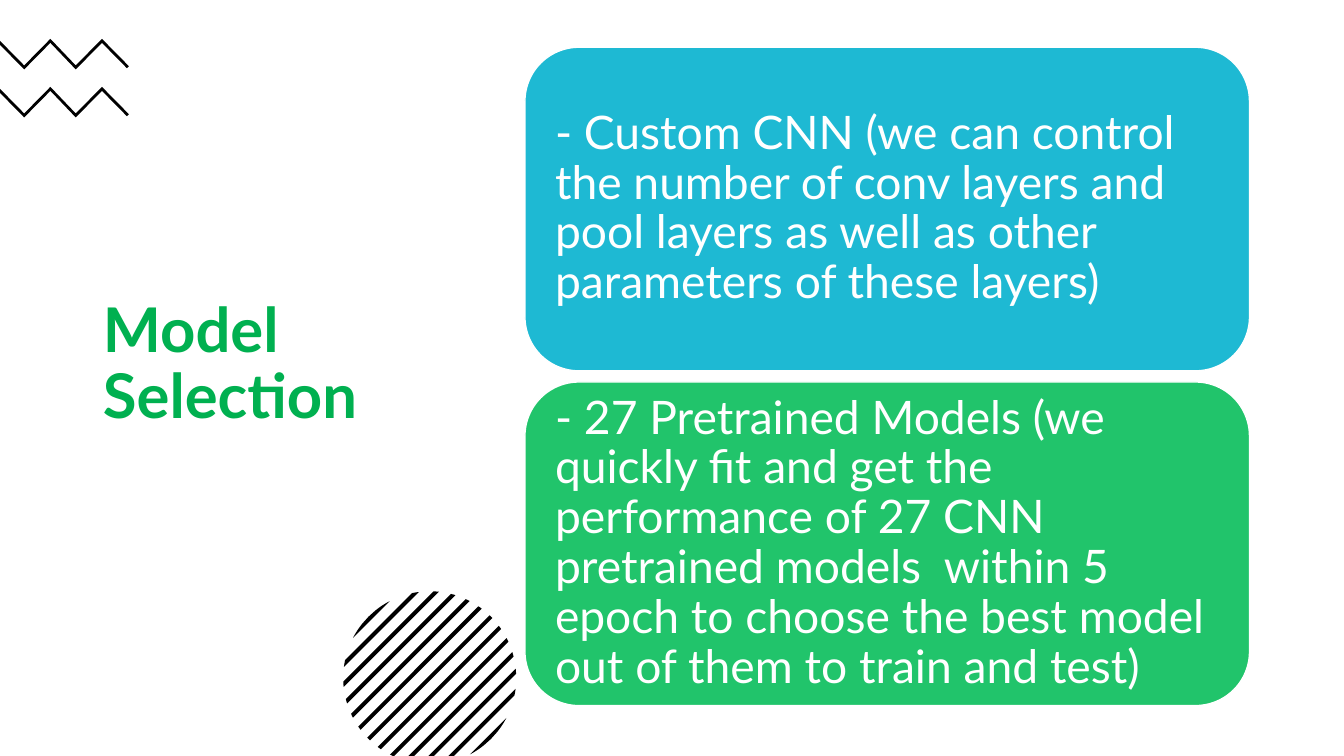
import math

import pptx
import pptx.dml.color
import pptx.enum.shapes
import pptx.enum.text
import pptx.util

Cm = pptx.util.Cm
Pt = pptx.util.Pt

COLORS = {
    "white": "FFFFFF",
    "black": "000000",
    "title": "00B050",
    "custom": "1EB9D3",
    "pretrained": "21C46B",
}
SLIDE_WIDTH, SLIDE_HEIGHT = 33.87, 19.05

TITLE_FONT = {"name": "Lato", "size": Pt(44), "bold": True}
CARD_FONT = {"name": "Lato", "size": Pt(33), "bold": False}
MIDDLE = {"word_wrap": True, "vertical_anchor": pptx.enum.text.MSO_ANCHOR.MIDDLE}
CARD_FRAME = MIDDLE | {
    f"margin_{side}": Cm(0.36) for side in ("left", "top", "right", "bottom")
}
PARAGRAPH = {"line_spacing": 0.9, "alignment": pptx.enum.text.PP_ALIGN.LEFT}

CARDS = [
    ("custom", "- Custom CNN (we can control the number of conv layers and pool "
               "layers as well as other parameters of these layers)"),
    ("pretrained", "- 27 Pretrained Models (we quickly fit and get the performance "
                   "of 27 CNN pretrained models  within 5 epoch to choose the best "
                   "model out of them to train and test)"),
]


def color(name):
    return pptx.dml.color.RGBColor.from_string(COLORS[name])


def apply_format(target, values):
    for attribute, value in values.items():
        setattr(target, attribute, value)


def write_text(shape, text, frame_format, font_format, font_color):
    frame = shape.text_frame
    frame.text = text
    apply_format(frame, frame_format)
    paragraph = frame.paragraphs[0]
    apply_format(paragraph, PARAGRAPH)
    font = paragraph.runs[0].font
    apply_format(font, font_format)
    font.color.rgb = color(font_color)


def add_outline(slide, points):
    """Draw a closed black shape through points given in centimetres."""
    corners = [(Cm(x), Cm(y)) for x, y in points]
    builder = slide.shapes.build_freeform(*corners[0])
    builder.add_line_segments(corners[1:], close=True)
    shape = builder.convert_to_shape()
    shape.shadow.inherit = False
    shape.fill.solid()
    shape.fill.fore_color.rgb = color("black")
    shape.line.fill.background()


def add_title(slide, left, top, width, height):
    title = slide.shapes.title
    apply_format(title, {"left": Cm(left), "top": Cm(top),
                         "width": Cm(width), "height": Cm(height)})
    write_text(title, "Model Selection", MIDDLE, TITLE_FONT, "title")


def add_zigzags(slide, left, top, pitch, count=2, thickness=0.1):
    upper = [(0, 0.05), (0.61, 0.67), (1.27, 0), (1.91, 0.67), (2.57, 0), (3.25, 0.69)]
    lower = [(x, y + thickness) for x, y in upper[:-1]] + [(3.2, 0.74)]
    for index in range(count):
        add_outline(slide, [(left + x, top + index * pitch + y)
                            for x, y in upper + lower[::-1]])


def add_striped_circle(slide, center_x, center_y, radius, count=13, thickness=0.1):
    """Diagonal stripes fill a circle that is cut off by the slide's bottom edge."""
    root = math.sqrt(2)
    steps = 8
    pitch = (2 * radius - thickness) / (count - 1)

    def place(across, along):
        return center_x + (across + along) / root, center_y + (across - along) / root

    for index in range(count):
        start = -radius + index * pitch
        top_end, bottom_end = [], []
        for step in range(steps + 1):
            across = start + thickness * step / steps
            half_chord = math.sqrt(max(0, radius ** 2 - across ** 2))
            cut = across - (SLIDE_HEIGHT - center_y) * root
            top_end.append(place(across, half_chord))
            bottom_end.append(place(across, max(-half_chord, cut)))
        add_outline(slide, top_end + bottom_end[::-1])


def add_cards(slide, left, top, width, height, gap=0.28):
    card_height = (height - gap * (len(CARDS) - 1)) / len(CARDS)
    for index, (fill, text) in enumerate(CARDS):
        card = slide.shapes.add_shape(
            pptx.enum.shapes.MSO_SHAPE.ROUNDED_RECTANGLE,
            Cm(left), Cm(top + index * (card_height + gap)), Cm(width), Cm(card_height))
        card.shadow.inherit = False
        card.fill.solid()
        card.fill.fore_color.rgb = color(fill)
        card.line.color.rgb = color("white")
        card.line.width = Pt(1)
        write_text(card, text, CARD_FRAME, CARD_FONT, "white")


def add_model_slide(presentation):
    slide = presentation.slides.add_slide(presentation.slide_layouts[5])
    slide.background.fill.solid()
    slide.background.fill.fore_color.rgb = color("white")
    # Decorations
    add_striped_circle(slide, 10.83, 17.08, 2.18)
    add_zigzags(slide, 0, 0.98, 1.21)
    # Title and model cards
    add_title(slide, 2.34, 3.33, 8.89, 11.76)
    add_cards(slide, 13.23, 1.19, 18.26, 16.59)


def main():
    presentation = pptx.Presentation()
    presentation.slide_width = Cm(SLIDE_WIDTH)
    presentation.slide_height = Cm(SLIDE_HEIGHT)
    add_model_slide(presentation)
    presentation.save("out.pptx")


if __name__ == "__main__":
    main()
